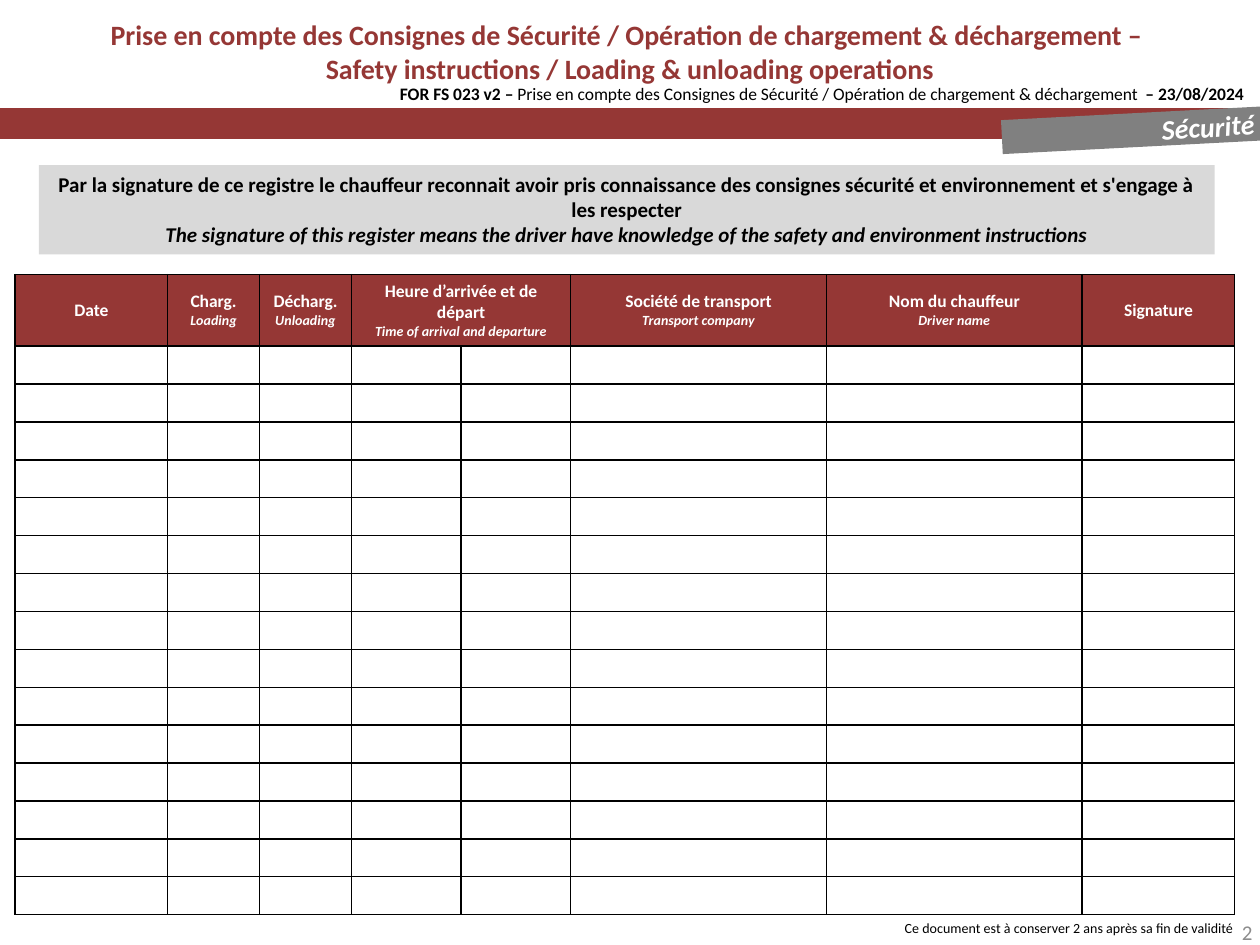
from dataclasses import dataclass
from typing import NamedTuple

from lxml import etree
from pptx import Presentation
from pptx.dml.color import RGBColor
from pptx.enum.shapes import MSO_SHAPE
from pptx.enum.text import MSO_ANCHOR, PP_ALIGN
from pptx.oxml.ns import qn
from pptx.util import Inches, Pt

RECT, BAND = MSO_SHAPE.RECTANGLE, MSO_SHAPE.FLOWCHART_PROCESS
LEFT, MID, RIGHT = PP_ALIGN.LEFT, PP_ALIGN.CENTER, PP_ALIGN.RIGHT
TOP, CENTER = MSO_ANCHOR.TOP, MSO_ANCHOR.MIDDLE
COLS, ROWS = 100, 75
WIDE, HIGH = Inches(10), Inches(7.5)


@dataclass(frozen=True)
class Theme:
    font: str = "Calibri"
    red: str = "953735"
    gray: str = "808080"
    pale: str = "D9D9D9"
    dim: str = "8C8C8C"
    ink: str = "000000"
    white: str = "FFFFFF"
    title: int = 16
    lead: int = 12
    body: int = 10
    small: int = 8
    rule: int = 1


THEME = Theme()


class Box(NamedTuple):
    col: float
    row: float
    wide: float
    high: float
    turn: float = 0


class Run(NamedTuple):
    text: str
    bold: bool = False


class Line(NamedTuple):
    runs: list[Run]
    size: int
    color: str = THEME.ink
    bold: bool = False
    slant: bool = False
    align: PP_ALIGN = MID


class Panel(NamedTuple):
    box: Box
    fill: str
    form: MSO_SHAPE = RECT
    lines: tuple[Line, ...] = ()


class Label(NamedTuple):
    box: Box
    line: Line
    anchor: MSO_ANCHOR = TOP
    wrap: bool = True


class Head(NamedTuple):
    wide: float
    french: str = ""
    english: str = ""
    span: int = 1


PANELS = [
    Panel(Box(0, 8.6, 100, 2.4), THEME.red, BAND),
    Panel(Box(79.5, 9, 20.6, 2.7, 357), THEME.gray),
    Panel(Box(3.1, 13.1, 93.3, 7.1), THEME.pale, lines=(
        Line([Run("Par la signature de ce registre le chauffeur reconnait avoir pris connaissance "
                  "des consignes sécurité et environnement et s'engage à les respecter", True)],
             THEME.lead, bold=True),
        Line([Run("The signature of this register means the driver have knowledge "
                  "of the safety and environment instructions", True)],
             THEME.lead, bold=True, slant=True))),
]

LABELS = [
    Label(Box(91.2, 8.2, 9.5, 3.7, 355.7),
          Line([Run("Sécurité", True)], THEME.title, THEME.white, True, True, LEFT), wrap=False),
    Label(Box(5, 0.6, 90, 7),
          Line([Run("Prise en compte des Consignes de Sécurité / Opération de chargement & "
                    "déchargement – \vSafety instructions / Loading & unloading operations", True)],
               THEME.title, THEME.red, True), CENTER),
    Label(Box(65, 72.5, 33.9, 2.4),
          Line([Run("Ce document est à conserver 2 ans après sa fin de validité")],
               THEME.small, align=RIGHT)),
    Label(Box(25.2, 6.1, 74.8, 2.7),
          Line([Run("FOR FS 023 v2 – ", True),
                Run("Prise en compte des Consignes de Sécurité / Opération de chargement & déchargement "),
                Run(" – 23/08/2024 ", True)], THEME.body, align=RIGHT)),
    Label(Box(77.1, 72, 23.3, 4),
          Line([Run("2")], THEME.lead, THEME.dim, align=RIGHT), CENTER),
]

HEADS = [
    Head(12.1, "Date"),
    Head(7.3, "Charg.", "Loading"),
    Head(7.3, "Décharg.", "Unloading"),
    Head(8.7, "Heure d’arrivée et de départ", "Time of arrival and departure", 2),
    Head(8.7),
    Head(20.3, "Société de transport", "Transport company"),
    Head(20.3, "Nom du chauffeur", "Driver name"),
    Head(12.1, "Signature"),
]
BLANKS, HEAD_HIGH, BLANK_HIGH = 15, 5.65, 3.01
GRID = Box(1.2, 21.8, sum(head.wide for head in HEADS), HEAD_HIGH + BLANKS * BLANK_HIGH)


def across(cols: float) -> int:
    return round(WIDE * cols / COLS)


def down(rows: float) -> int:
    return round(HIGH * rows / ROWS)


def place(box: Box) -> tuple[int, int, int, int]:
    return across(box.col), down(box.row), across(box.wide), down(box.high)


def write(frame, lines) -> None:
    for spot, line in enumerate(lines):
        para = frame.add_paragraph() if spot else frame.paragraphs[0]
        para.alignment = line.align
        font = para.font
        font.name, font.size = THEME.font, Pt(line.size)
        font.bold, font.italic = line.bold, line.slant
        font.color.rgb = RGBColor.from_string(line.color)
        mixed = len({run.bold for run in line.runs}) > 1
        for part in line.runs:
            if not mixed:
                para.text = part.text
                continue
            run = para.add_run()
            run.text, run.font.bold = part.text, part.bold


def draw_panel(slide, panel: Panel) -> None:
    shape = slide.shapes.add_shape(panel.form, *place(panel.box))
    shape.rotation = panel.box.turn
    shape.shadow.inherit = False
    shape.fill.solid()
    shape.fill.fore_color.rgb = RGBColor.from_string(panel.fill)
    shape.line.fill.background()
    shape.text_frame.vertical_anchor = TOP
    write(shape.text_frame, panel.lines)


def draw_label(slide, label: Label) -> None:
    shape = slide.shapes.add_textbox(*place(label.box))
    shape.rotation = label.box.turn
    frame = shape.text_frame
    frame.word_wrap, frame.vertical_anchor = label.wrap, label.anchor
    write(frame, [label.line])


def rule_cell(cell) -> None:
    props = cell._tc.get_or_add_tcPr()
    for side in ("lnL", "lnR", "lnT", "lnB"):
        edge = etree.SubElement(props, qn(f"a:{side}"), w=str(Pt(THEME.rule)))
        fill = etree.SubElement(edge, qn("a:solidFill"))
        etree.SubElement(fill, qn("a:srgbClr"), val=THEME.ink)


def draw_grid(slide) -> None:
    table = slide.shapes.add_table(BLANKS + 1, len(HEADS), *place(GRID)).table
    table.first_row = table.horz_banding = False
    for row in table.rows:
        row.height = down(BLANK_HIGH)
    table.rows[0].height = down(HEAD_HIGH)
    for cell in table.iter_cells():
        rule_cell(cell)
        cell.fill.background()
        para = cell.text_frame.paragraphs[0]
        etree.SubElement(para._p, qn("a:endParaRPr"), sz=str(THEME.body * 100))
    for spot, head in enumerate(HEADS):
        table.columns[spot].width = across(head.wide)
        cell = table.cell(0, spot)
        cell.fill.solid()
        cell.fill.fore_color.rgb = RGBColor.from_string(THEME.red)
        cell.vertical_anchor = CENTER
        if head.span > 1:
            cell.merge(table.cell(0, spot + head.span - 1))
        lines = [Line([Run(head.french)], THEME.body, THEME.white, True)] if head.french else []
        if head.english:
            lines.append(Line([Run(head.english)], THEME.small, THEME.white, True, True))
        write(cell.text_frame, lines)


def main() -> None:
    deck = Presentation()
    deck.slide_width, deck.slide_height = WIDE, HIGH
    slide = deck.slides.add_slide(deck.slide_layouts[6])
    for panel in PANELS:
        draw_panel(slide, panel)
    for label in LABELS:
        draw_label(slide, label)
    draw_grid(slide)
    deck.save("out.pptx")


if __name__ == "__main__":
    main()
